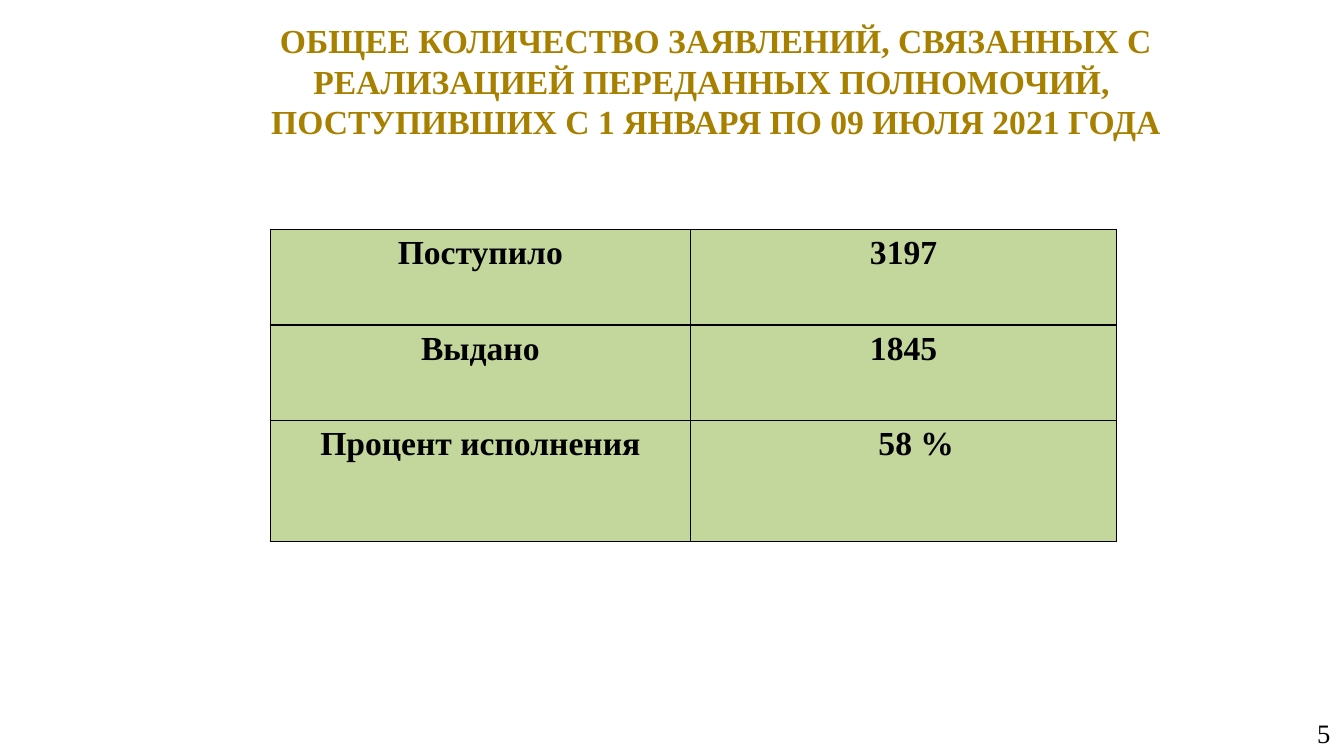
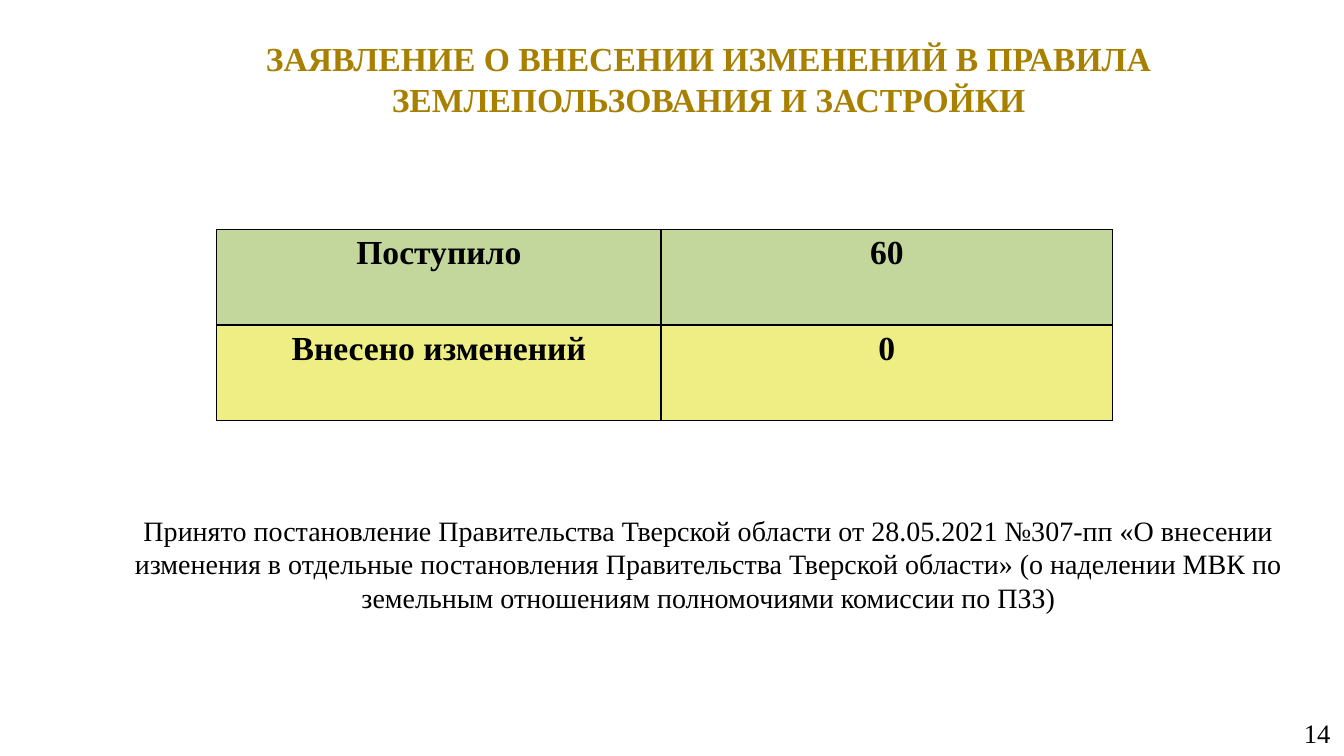
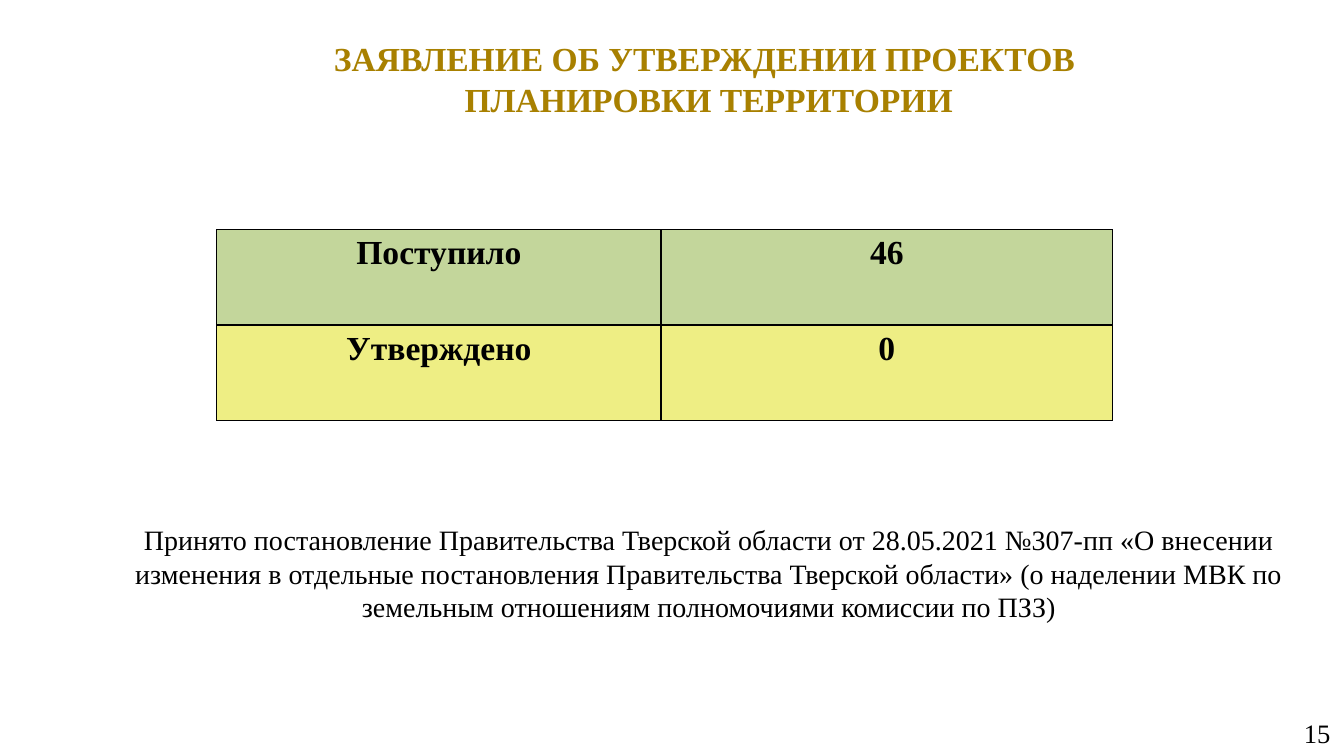
"""Build three slides reporting on applications received and processed."""
from dataclasses import dataclass

from lxml.etree import SubElement
from pptx import Presentation
from pptx.dml.color import RGBColor
from pptx.enum.text import MSO_ANCHOR, MSO_AUTO_SIZE, PP_ALIGN
from pptx.oxml.ns import qn
from pptx.util import Cm, Pt


@dataclass(frozen=True)
class Theme:
    font: str = "Times New Roman"
    gold: str = "A88000"
    black: str = "000000"
    green: str = "C3D69B"
    yellow: str = "EEEE84"
    heading: float = 24
    body: float = 20
    number: float = 19
    border: float = 0.96


theme = Theme()


def write(tf, text, size, color=theme.black, bold=False, align=PP_ALIGN.CENTER):
    """Fill a text frame with one uniformly formatted paragraph."""
    tf.text = text
    tf.word_wrap = True
    p = tf.paragraphs[0]
    p.alignment = align
    for r in p.runs:
        r.font.name = theme.font
        r.font.size = Pt(size)
        r.font.bold = bold
        r.font.color.rgb = RGBColor.from_string(color)


def place(sp, box):
    """Position a text shape and return its middle-anchored frame."""
    sp.left, sp.top, sp.width, sp.height = [Cm(v) for v in box]
    tf = sp.text_frame
    tf.auto_size = MSO_AUTO_SIZE.NONE
    tf.vertical_anchor = MSO_ANCHOR.MIDDLE
    tf.margin_left = tf.margin_right = Cm(0.33)
    tf.margin_top = tf.margin_bottom = Cm(0.17)
    return tf


decree = (
    "Принято постановление Правительства Тверской области от 28.05.2021 №307-пп "
    "«О внесении изменения в отдельные постановления Правительства Тверской области» "
    "(о наделении МВК по земельным отношениям полномочиями комиссии по ПЗЗ)"
)
title_box = (3.33, 0.71, 29.06, 2.54)
number_box = (25.96, 17.96, 7.9, 1.02)
pair = {"left": 5.46, "cols": (11.2, 11.38), "heights": (2.4, 2.4),
        "fills": (theme.green, theme.yellow)}

slides = [
    {
        "title": "ОБЩЕЕ КОЛИЧЕСТВО ЗАЯВЛЕНИЙ, СВЯЗАННЫХ С РЕАЛИЗАЦИЕЙ ПЕРЕДАННЫХ "
                 "ПОЛНОМОЧИЙ, \vПОСТУПИВШИХ С 1 ЯНВАРЯ ПО 09 ИЮЛЯ 2021 ГОДА",
        "title_box": (3.51, 0.76, 29.06, 2.54),
        "number": "5",
        "rows": [("Поступило", "3197"), ("Выдано", "1845"), ("Процент исполнения", "58 %")],
        "left": 6.81, "cols": (10.59, 10.74), "heights": (2.4, 2.4, 3.05),
        "fills": (theme.green,) * 3,
        "indents": {(2, 1): 0.97},
    },
    {
        "title": "ЗАЯВЛЕНИЕ О ВНЕСЕНИИ ИЗМЕНЕНИЙ В ПРАВИЛА ЗЕМЛЕПОЛЬЗОВАНИЯ И ЗАСТРОЙКИ",
        "number": "14",
        "rows": [("Поступило", "60"), ("Внесено изменений", "0")],
        "decree_box": (2.54, 11.94, 30.63, 4.52),
        **pair,
    },
    {
        "title": "ЗАЯВЛЕНИЕ ОБ УТВЕРЖДЕНИИ ПРОЕКТОВ \vПЛАНИРОВКИ ТЕРРИТОРИИ",
        "number": "15",
        "rows": [("Поступило", "46"), ("Утверждено", "0")],
        "decree_box": (2.74, 12.65, 30.25, 3.58),
        **pair,
    },
]

prs = Presentation()
prs.slide_width, prs.slide_height = Cm(33.87), Cm(19.05)

for data in slides:
    s = prs.slides.add_slide(prs.slide_layouts[5])
    tf = place(s.shapes.title, data.get("title_box", title_box))
    write(tf, data["title"], theme.heading, theme.gold, bold=True)

    tf = place(s.shapes.add_textbox(0, 0, 0, 0), number_box)
    write(tf, data["number"], theme.number, align=PP_ALIGN.RIGHT)

    rows, cols, heights = data["rows"], data["cols"], data["heights"]
    table = s.shapes.add_table(len(rows), len(cols), Cm(data["left"]), Cm(5.79),
                               Cm(sum(cols)), Cm(sum(heights))).table
    table.first_row = table.horz_banding = False
    for column, width in zip(table.columns, cols):
        column.width = Cm(width)
    for i, row in enumerate(rows):
        table.rows[i].height = Cm(heights[i])
        for j, text in enumerate(row):
            cell = table.cell(i, j)
            cell.margin_left = Cm(data.get("indents", {}).get((i, j), 0.33))
            cell.margin_right = Cm(0.33)
            cell.margin_top = cell.margin_bottom = Cm(0.13)
            write(cell.text_frame, text, theme.heading, bold=True)
            tcPr = cell._tc.get_or_add_tcPr()
            for side in ("a:lnL", "a:lnR", "a:lnT", "a:lnB"):
                ln = SubElement(tcPr, qn(side), w=str(Pt(theme.border)))
                fill = SubElement(ln, qn("a:solidFill"))
                SubElement(fill, qn("a:srgbClr"), val=theme.black)
            cell.fill.solid()
            cell.fill.fore_color.rgb = RGBColor.from_string(data["fills"][i])

    if "decree_box" in data:
        tf = place(s.shapes.add_textbox(0, 0, 0, 0), data["decree_box"])
        write(tf, decree, theme.body)

prs.save("out.pptx")
